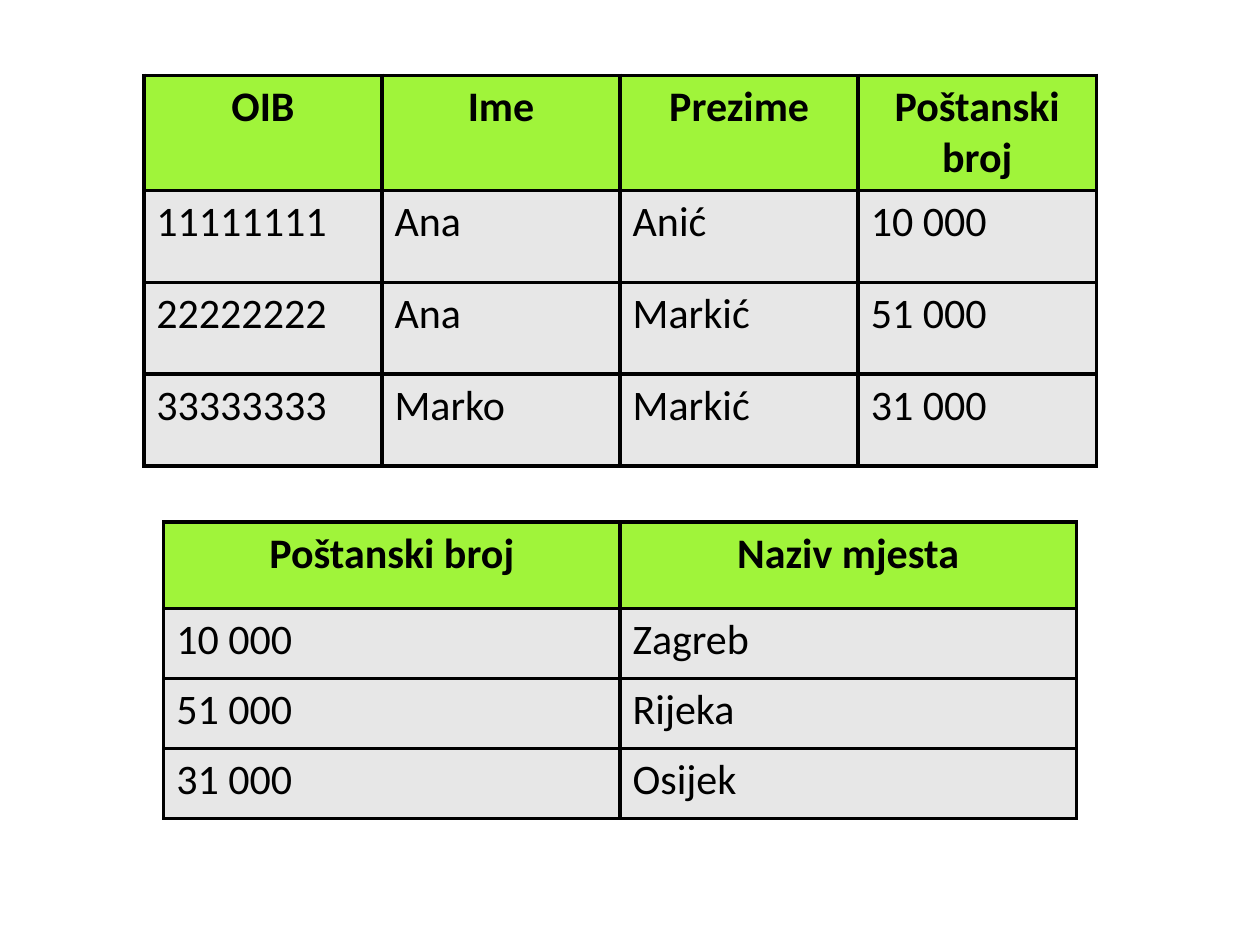
"""Builds a slide with a table of people and a table of postal codes."""
from lxml import etree
from pptx import Presentation
from pptx import util as u
from pptx.dml import color
from pptx.enum import text
from pptx.oxml import ns

HEADER_FILL, BODY_FILL, INK = "A0F43A", "E7E7E7", "000000"
TABLES = [
    {
        "left": 2.9, "top": 1.52, "column_width": 4.8,
        "header_height": 1.85, "row_height": 1.85,
        "rows": [
            ("OIB", "Ime", "Prezime", "Poštanski broj"),
            ("11111111", "Ana", "Anić", "10 000"),
            ("22222222", "Ana", "Markić", "51 000"),
            ("33333333", "Marko", "Markić", "31 000"),
        ],
    },
    {
        "left": 3.3, "top": 10.52, "column_width": 9.2,
        "header_height": 1.75, "row_height": 1.41,
        "rows": [
            ("Poštanski broj", "Naziv mjesta"),
            ("10 000", "Zagreb"),
            ("51 000", "Rijeka"),
            ("31 000", "Osijek"),
        ],
    },
]


def paint(fill, value):
    fill.solid()
    fill.fore_color.rgb = color.RGBColor.from_string(value)


def add_borders(cell):
    properties = cell._tc.get_or_add_tcPr()
    for index, side in enumerate(("lnL", "lnR", "lnT", "lnB")):
        line = etree.Element(ns.qn("a:" + side), w=str(u.Pt(2.25)))
        solid = etree.SubElement(line, ns.qn("a:solidFill"))
        etree.SubElement(solid, ns.qn("a:srgbClr"), val=INK)
        properties.insert(index, line)


def fill_cell(cell, words, is_header):
    paint(cell.fill, HEADER_FILL if is_header else BODY_FILL)
    add_borders(cell)
    paragraph = cell.text_frame.paragraphs[0]
    paragraph.alignment = text.PP_ALIGN.CENTER if is_header else text.PP_ALIGN.LEFT
    run = paragraph.add_run()
    run.text = words
    run.font.name = "Calibri"
    run.font.size = u.Pt(24)
    run.font.bold = is_header
    paint(run.font.fill, INK)


def add_data_table(slide, data):
    rows = data["rows"]
    heights = [data["header_height"]] + [data["row_height"]] * (len(rows) - 1)
    column_count = len(rows[0])
    table = slide.shapes.add_table(
        len(rows), column_count, u.Cm(data["left"]), u.Cm(data["top"]),
        u.Cm(data["column_width"] * column_count), u.Cm(sum(heights)),
    ).table
    for column in table.columns:
        column.width = u.Cm(data["column_width"])
    for row_index, (words_in_row, height) in enumerate(zip(rows, heights)):
        table.rows[row_index].height = u.Cm(height)
        for column_index, words in enumerate(words_in_row):
            fill_cell(table.cell(row_index, column_index), words, row_index == 0)


presentation = Presentation()
presentation.slide_width, presentation.slide_height = u.Cm(25.4), u.Cm(19.05)
slide = presentation.slides.add_slide(presentation.slide_layouts[6])
for data in TABLES:
    add_data_table(slide, data)
presentation.save("out.pptx")
